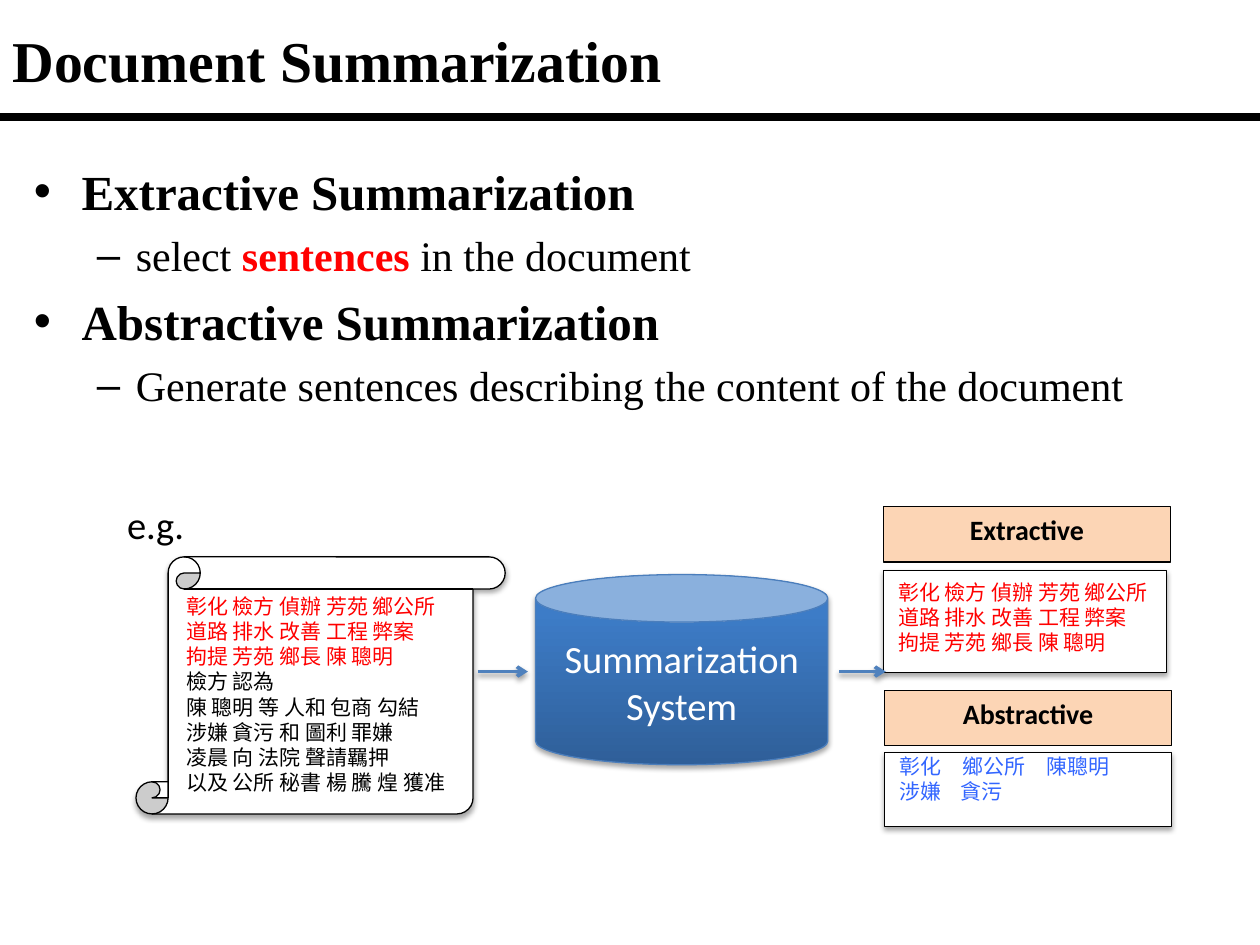
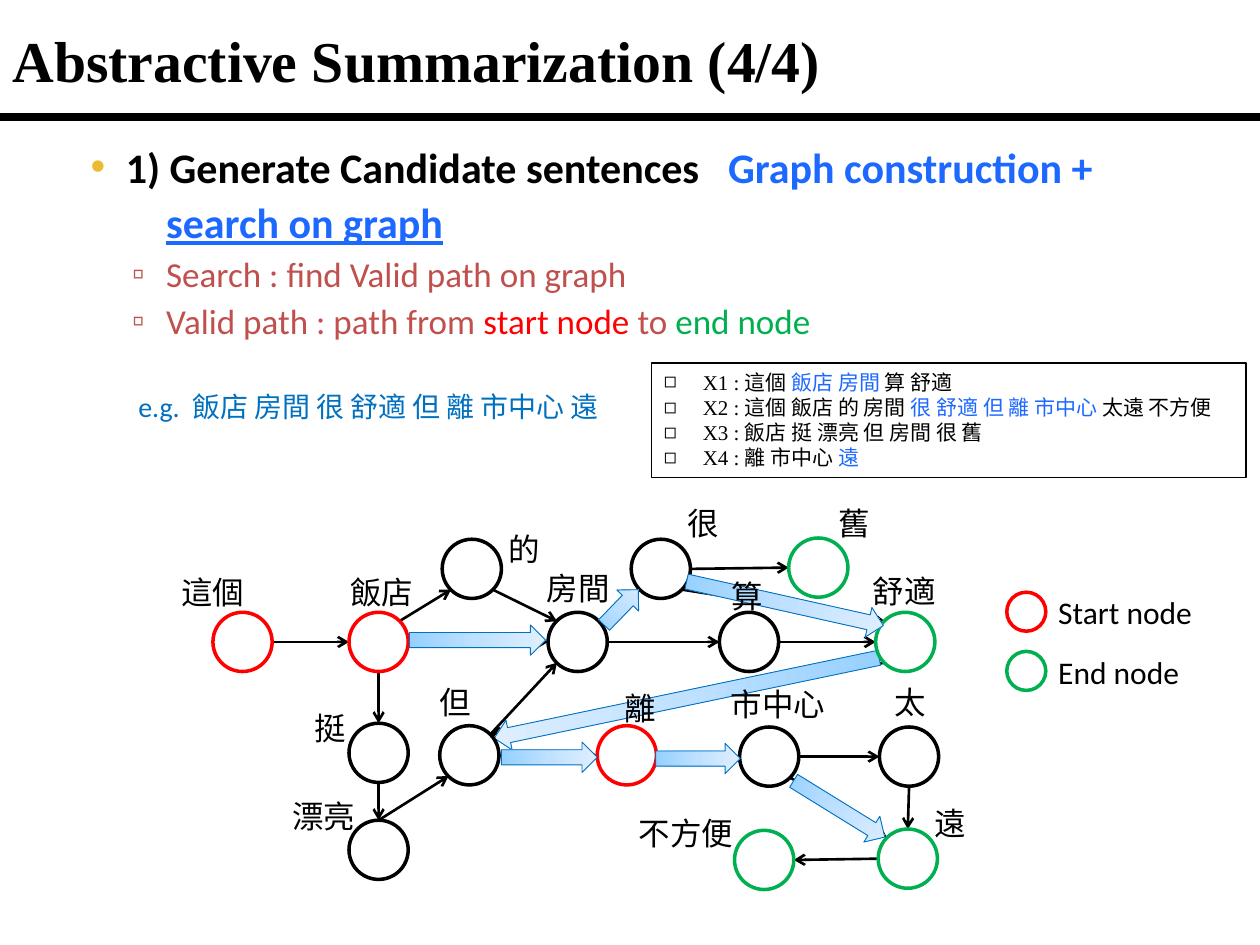
from dataclasses import dataclass, replace

from pptx import Presentation
from pptx import util as u
from pptx.dml.color import RGBColor
from pptx.enum import shapes, text
from pptx.oxml import parse_xml
from pptx.oxml.ns import nsdecls, qn

COLORS = {
    "black": "000000", "white": "FFFFFF", "red": "FF0000", "green": "00B050",
    "peach": "FCD5B5", "steel": "4F81BD", "can edge": "4B7EBC", "pale blue": "3366FF",
    "bright blue": "1D68FF", "blue": "0070C0", "brick": "C0504D", "gold": "EABC33",
}
CAN_GRADIENT = [(0, "2F5F99"), (80, "3D7CC7"), (100, "3A7CCB")]
ARROW_GRADIENT = [(0, "96D0FF"), (50, "BFE1FF"), (100, "E0EFFF")]
SHAPE = shapes.MSO_SHAPE
MIDDLE = text.MSO_ANCHOR.MIDDLE


@dataclass
class Style:
    """Look of a paragraph; indents in inches, sizes in points."""
    size: float
    font: str = "Calibri"
    color: str = "black"
    bold: bool = False
    centered: bool = False
    before: float = 0
    left: float = 0
    hanging: float = 0
    bullet: str = ""
    bullet_color: str = ""
    level: int = 0


TITLE = Style(33, "Times New Roman", bold=True)
TOPIC = Style(28, "Times New Roman", bold=True, before=6.5, left=0.38, hanging=0.38, bullet="•")
DETAIL = Style(24, "Times New Roman", before=5.5, left=0.81, hanging=0.31, bullet="–", level=1)
STEP = Style(24, bold=True, before=3, left=0.4, hanging=0.28, bullet="•", bullet_color="gold")
STEP_MORE = Style(24, color="bright blue", bold=True, before=3, left=0.72)
HINT = Style(20, color="brick", before=3, left=0.72, hanging=0.27, bullet="▫",
             bullet_color="brick", level=1)
EXAMPLE = Style(12, "Times New Roman", left=0.31, hanging=0.31, bullet="◻")
SMALL = Style(12)
HEADING = Style(16, bold=True, centered=True)
NODE_LABEL = Style(18, "Arial")


def rgb(name):
    return RGBColor.from_string(COLORS[name])


# Text
def format_paragraph(paragraph, style):
    properties = paragraph._p.get_or_add_pPr()
    properties.set("marL", str(u.Inches(style.left)))
    properties.set("indent", str(u.Inches(-style.hanging)))
    if style.bullet_color:
        properties.append(parse_xml(
            f'<a:buClr {nsdecls("a")}><a:srgbClr val="{COLORS[style.bullet_color]}"/></a:buClr>'))
    if style.bullet:
        properties.append(parse_xml(
            f'<a:buFont {nsdecls("a")} typeface="Arial"/>'))
        properties.append(parse_xml(f'<a:buChar {nsdecls("a")} char="{style.bullet}"/>'))
    paragraph.level = style.level
    paragraph.space_before = u.Pt(style.before)
    paragraph.alignment = text.PP_ALIGN.CENTER if style.centered else text.PP_ALIGN.LEFT
    font = paragraph.font
    font.name, font.size, font.bold = style.font, u.Pt(style.size), style.bold
    font.color.rgb = rgb(style.color)


def add_run(paragraph, content, color=None, bold=None, underline=None, spacing=0):
    run = paragraph.add_run()
    run.text = content
    if color:
        run.font.color.rgb = rgb(color)
    if bold is not None:
        run.font.bold = bold
    if underline:
        run.font.underline = True
    if spacing:
        run.font._element.set("spc", str(round(spacing * 100)))


def gap(points):
    """A single space widened by the given number of points."""
    return " ", {"spacing": points}


def write(shape, paragraphs, anchor=text.MSO_ANCHOR.TOP):
    """Each paragraph is a style followed by strings or (string, options)."""
    frame = shape.text_frame
    frame.word_wrap = True
    frame.vertical_anchor = anchor
    for index, (style, *runs) in enumerate(paragraphs):
        paragraph = frame.add_paragraph() if index else frame.paragraphs[0]
        format_paragraph(paragraph, style)
        for run in runs:
            content, options = (run, {}) if isinstance(run, str) else run
            add_run(paragraph, content, **options)


def add_text(slide, box, paragraphs, **options):
    write(slide.shapes.add_textbox(*map(u.Inches, box)), paragraphs, **options)


# Shapes and lines
def add_shadow(element, opacity):
    element.spPr.find(qn("a:effectLst")).append(parse_xml(
        f'<a:outerShdw {nsdecls("a")} blurRad="{u.Pt(3.1)}" dist="{u.Pt(1.8)}" dir="5400000" '
        f'rotWithShape="0"><a:srgbClr val="000000"><a:alpha val="{opacity * 1000}"/>'
        f'</a:srgbClr></a:outerShdw>'))


def add_gradient(shape, stops, angle):
    stop_xml = "".join(f'<a:gs pos="{position * 1000}"><a:srgbClr val="{color}"/></a:gs>'
                       for position, color in stops)
    shape.element.spPr.find(qn("a:prstGeom")).addnext(parse_xml(
        f'<a:gradFill {nsdecls("a")} rotWithShape="1"><a:gsLst>{stop_xml}</a:gsLst>'
        f'<a:lin ang="{angle * 60000}" scaled="0"/></a:gradFill>'))


def add_shape(slide, kind, box, fill="white", line="black", width=0.75, shadow=False):
    shape = slide.shapes.add_shape(kind, *map(u.Inches, box))
    shape.shadow.inherit = False
    if fill:
        shape.fill.solid()
        shape.fill.fore_color.rgb = rgb(fill)
    shape.line.color.rgb = rgb(line)
    shape.line.width = u.Pt(width)
    if shadow:
        add_shadow(shape.element, 35)
    return shape


def add_line(slide, start, end, color="black", width=1.5, arrow=True, shadow=False):
    connector = slide.shapes.add_connector(
        shapes.MSO_CONNECTOR.STRAIGHT, *map(u.Inches, (*start, *end)))
    connector.line.color.rgb = rgb(color)
    connector.line.width = u.Pt(width)
    properties = connector.element.spPr
    if arrow:
        properties.find(qn("a:ln")).append(
            parse_xml(f'<a:tailEnd {nsdecls("a")} type="arrow"/>'))
    properties.append(parse_xml(f'<a:effectLst {nsdecls("a")}/>'))
    if shadow:
        add_shadow(connector.element, 38)


def add_block_arrow(slide, center_x, center_y, length, rotation, width=0.24):
    box = (center_x - width / 2, center_y - length / 2, width, length)
    arrow = add_shape(slide, SHAPE.DOWN_ARROW, box, fill=None, line="blue", width=0.5)
    add_gradient(arrow, ARROW_GRADIENT, 90)
    arrow.rotation = rotation


def add_titled_slide(presentation, title):
    slide = presentation.slides.add_slide(presentation.slide_layouts[6])
    add_text(slide, (0, 0.08, 9.99, 0.79), [(TITLE, title)], anchor=MIDDLE)
    add_line(slide, (0, 0.93), (10, 0.93), width=4.5, arrow=False)
    return slide


# Slide 1: kinds of summarization and a sample run
def build_overview(presentation):
    slide = add_titled_slide(presentation, "Document Summarization")
    add_text(slide, (0.17, 1.23, 9.56, 2.11), [
        (TOPIC, "Extractive Summarization"),
        (DETAIL, "select ", ("sentences", {"color": "red", "bold": True}), " in the document"),
        (TOPIC, "Abstractive Summarization"),
        (DETAIL, "Generate sentences describing the content of the document"),
    ])
    add_text(slide, (0.91, 3.93, 0.95, 0.48), [(Style(22), "e.g.")])

    # Source document
    red = replace(SMALL, color="red")
    key_sentences = [(red, line) for line in (
        "彰化 檢方 偵辦 芳苑 鄉公所", "道路 排水 改善 工程 弊案", "拘提 芳苑 鄉長 陳 聰明")]
    other_sentences = [(SMALL, line) for line in (
        "檢方 認為", "陳 聰明 等 人和 包商 勾結", "涉嫌 貪污 和 圖利 罪嫌",
        "凌晨 向 法院 聲請羈押", "以及 公所 秘書 楊 騰 煌 獲准")]
    add_shape(slide, SHAPE.VERTICAL_SCROLL, (1.08, 4.42, 2.93, 2.04), shadow=True)
    add_text(slide, (1.38, 4.66, 2.37, 1.74), key_sentences + other_sentences)

    # Results
    blue = replace(SMALL, color="pale blue")
    abstract = [(blue, "彰化　鄉公所　陳聰明"), (blue, "涉嫌", gap(8), "貪污")]
    for heading, heading_box, panel, text_box, lines in (
        ("Extractive", (7.01, 4.02, 2.28, 0.44), (7.01, 4.53, 2.25, 0.81),
         (7.03, 4.55, 2.28, 0.73), key_sentences),
        ("Abstractive", (7.02, 5.48, 2.28, 0.44), (7.02, 5.97, 2.28, 0.59),
         (7.04, 5.93, 2.28, 0.5), abstract),
    ):
        add_shape(slide, SHAPE.FLOWCHART_PROCESS, panel, shadow=True)
        add_text(slide, text_box, lines)
        write(add_shape(slide, SHAPE.RECTANGLE, heading_box, fill="peach"), [(HEADING, heading)])

    # System between document and results
    system = add_shape(slide, SHAPE.CAN, (4.25, 4.56, 2.32, 1.51), fill=None,
                       line="can edge", shadow=True)
    add_gradient(system, CAN_GRADIENT, 270)
    label = Style(22, color="white", centered=True)
    write(system, [(label, "Summarization"), (label, "System")], anchor=MIDDLE)
    for start, end in ((3.79, 4.19), (6.66, 7.03)):
        add_line(slide, (start, 5.33), (end, 5.33), color="steel", width=2, shadow=True)


# Slide 2: word graph
NODE = 0.47
# word: left, top, outline, label left, label top
NODES = {
    "這個": (1.69, 4.86, "red", 1.34, 4.5),
    "飯店": (2.77, 4.86, "red", 2.68, 4.5),
    "房間": (4.35, 4.86, "black", 4.24, 4.47),
    "算": (5.71, 4.86, "black", 5.71, 4.53),
    "舒適": (6.95, 4.86, "green", 6.83, 4.49),
    "的": (3.51, 4.28, "black", 3.94, 4.16),
    "很": (5.01, 4.28, "black", 5.36, 3.95),
    "舊": (6.26, 4.27, "green", 6.56, 3.95),
    "挺": (2.77, 5.74, "black", 2.4, 5.58),
    "漂亮": (2.77, 6.51, "black", 2.22, 6.28),
    "但": (3.49, 5.76, "black", 3.39, 5.37),
    "離": (4.74, 5.76, "red", 4.86, 5.42),
    "市中心": (5.87, 5.77, "black", 5.7, 5.39),
    "太": (6.98, 5.77, "black", 7, 5.37),
    "遠": (6.97, 6.58, "green", 7.32, 6.33),
    "不方便": (5.83, 6.59, "green", 4.97, 6.41),
}
# Points on a node's rim, as fractions of its size
RIM = {"W": (0, 0.5), "E": (1, 0.5), "N": (0.5, 0), "S": (0.5, 1),
       "NW": (0.15, 0.15), "NE": (0.85, 0.15), "SW": (0.15, 0.85), "SE": (0.85, 0.85)}
EDGES = [
    ("這個", "E", "飯店", "W"), ("飯店", "E", "房間", "W"), ("房間", "E", "算", "W"),
    ("算", "E", "舒適", "W"), ("飯店", "NE", "的", "SW"), ("的", "SE", "房間", "NW"),
    ("房間", "NE", "很", "SW"), ("很", "E", "舊", "W"), ("很", "SE", "舒適", "NW"),
    ("舒適", "SW", "但", "NE"), ("飯店", "S", "挺", "N"), ("挺", "S", "漂亮", "N"),
    ("漂亮", "N", "但", "SW"), ("但", "NE", "房間", "SW"), ("但", "E", "離", "W"),
    ("離", "E", "市中心", "W"), ("市中心", "E", "太", "W"), ("市中心", "SE", "遠", "NW"),
    ("太", "S", "遠", "N"), ("遠", "W", "不方便", "E"),
]
# Chosen route: center x, center y, length, rotation
RETURN_ARROW = (5.45, 5.54, 3.12, 78.2)
ROUTE_ARROWS = [
    (3.79, 5.08, 1.08, 270), (4.93, 4.82, 0.39, 224.1), (6.23, 4.79, 1.6, 282.6),
    (4.36, 6.01, 0.76, 270), (5.54, 6.02, 0.67, 270), (6.66, 6.42, 0.85, 301.7),
]


def rim_point(word, side):
    left, top = NODES[word][:2]
    return left + RIM[side][0] * NODE, top + RIM[side][1] * NODE


def add_word_graph(slide):
    for source, source_side, target, target_side in EDGES:
        add_line(slide, rim_point(source, source_side), rim_point(target, target_side))
    add_block_arrow(slide, *RETURN_ARROW)
    for left, top, outline, *_ in NODES.values():
        add_shape(slide, SHAPE.OVAL, (left, top, NODE, NODE), line=outline, width=2)
    for arrow in ROUTE_ARROWS:
        add_block_arrow(slide, *arrow)
    for word, (*_, left, top) in NODES.items():
        add_text(slide, (left, top, 0.25 * len(word) + 0.3, 0.4), [(NODE_LABEL, word)])


def build_graph_search(presentation):
    slide = add_titled_slide(presentation, "Abstractive Summarization (4/4)")
    marked = {"color": "bright blue"}
    add_text(slide, (0.5, 1.07, 9.38, 1.71), [
        (STEP, "1) Generate Candidate sentences", gap(11), ("Graph construction +", marked)),
        (STEP_MORE, ("search on graph", {"underline": True})),
        (HINT, "Search : find Valid path on graph"),
        (HINT, "Valid path : path from ", ("start node ", {"color": "red"}), "to ",
         ("end node", {"color": "green"})),
    ])
    add_text(slide, (1, 3.04, 3.93, 0.37), [
        (Style(16, color="blue"), "e.g.", gap(3.6), "飯店 房間 很 舒適 但 離 市中心 遠")])

    # Input sentences
    sentences = add_shape(slide, SHAPE.RECTANGLE, (5.17, 2.88, 4.72, 0.91))
    write(sentences, [
        (EXAMPLE, "X1 : 這個 ", ("飯店 房間 ", marked), "算 舒適"),
        (EXAMPLE, "X2 : 這個 飯店 的 房間 ", ("很 舒適 但 離 市中心 ", marked), "太遠 不方便"),
        (EXAMPLE, "X3 : 飯店 挺 漂亮 但 房間 很 舊"),
        (EXAMPLE, "X4 : 離 市中心 ", ("遠", marked)),
    ])
    add_word_graph(slide)

    # Legend
    for row, (label, color) in enumerate((("Start node", "red"), ("End node", "green"))):
        top = 4.7 + 0.47 * row
        add_shape(slide, SHAPE.OVAL, (7.99, top, 0.31, 0.31), line=color, width=2)
        add_text(slide, (8.3, top - 0.04, 1.39, 0.4), [(Style(18), label)])


def main():
    presentation = Presentation()
    presentation.slide_width, presentation.slide_height = u.Inches(10), u.Inches(7.5)
    build_overview(presentation)
    build_graph_search(presentation)
    presentation.save("out.pptx")


if __name__ == "__main__":
    main()
